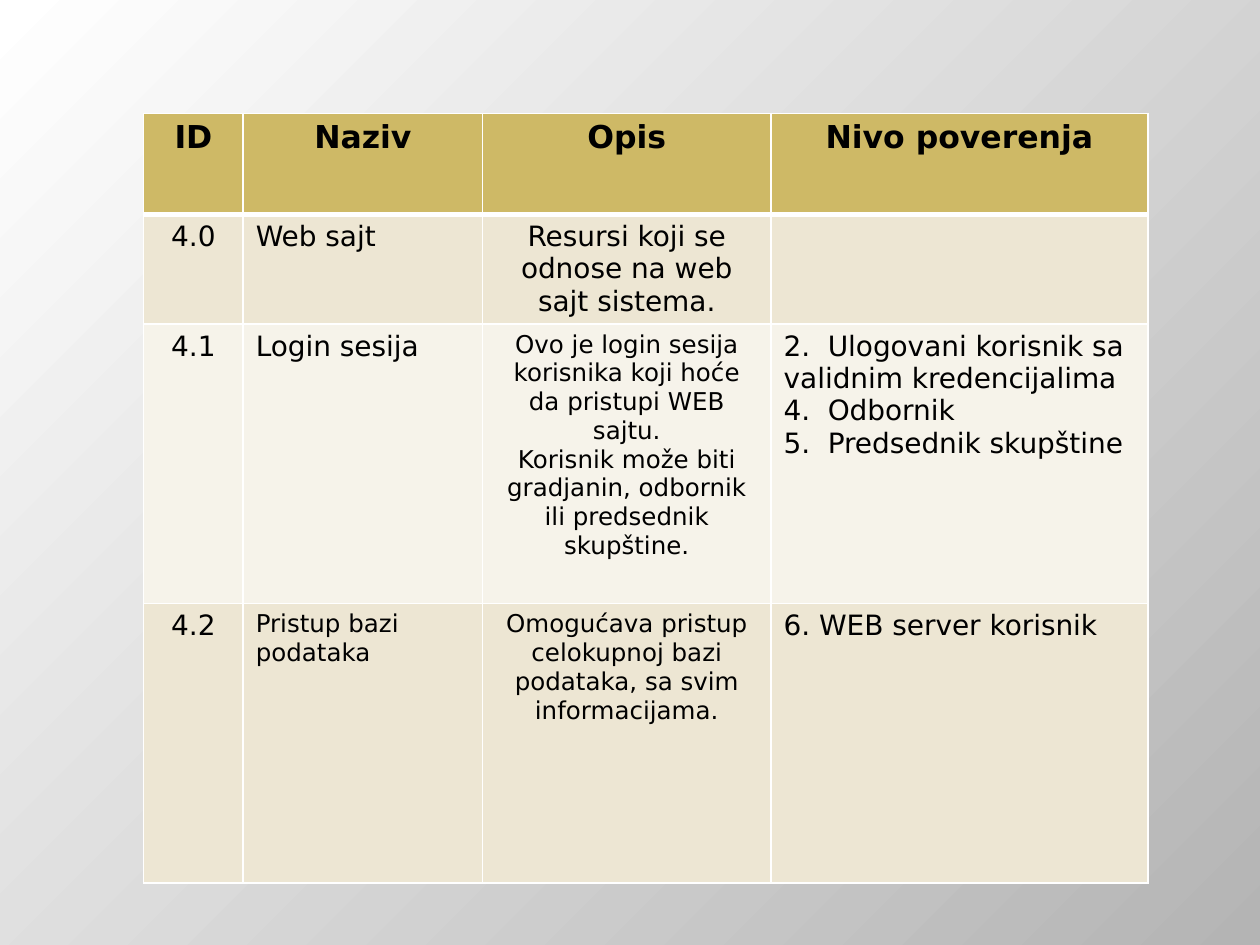
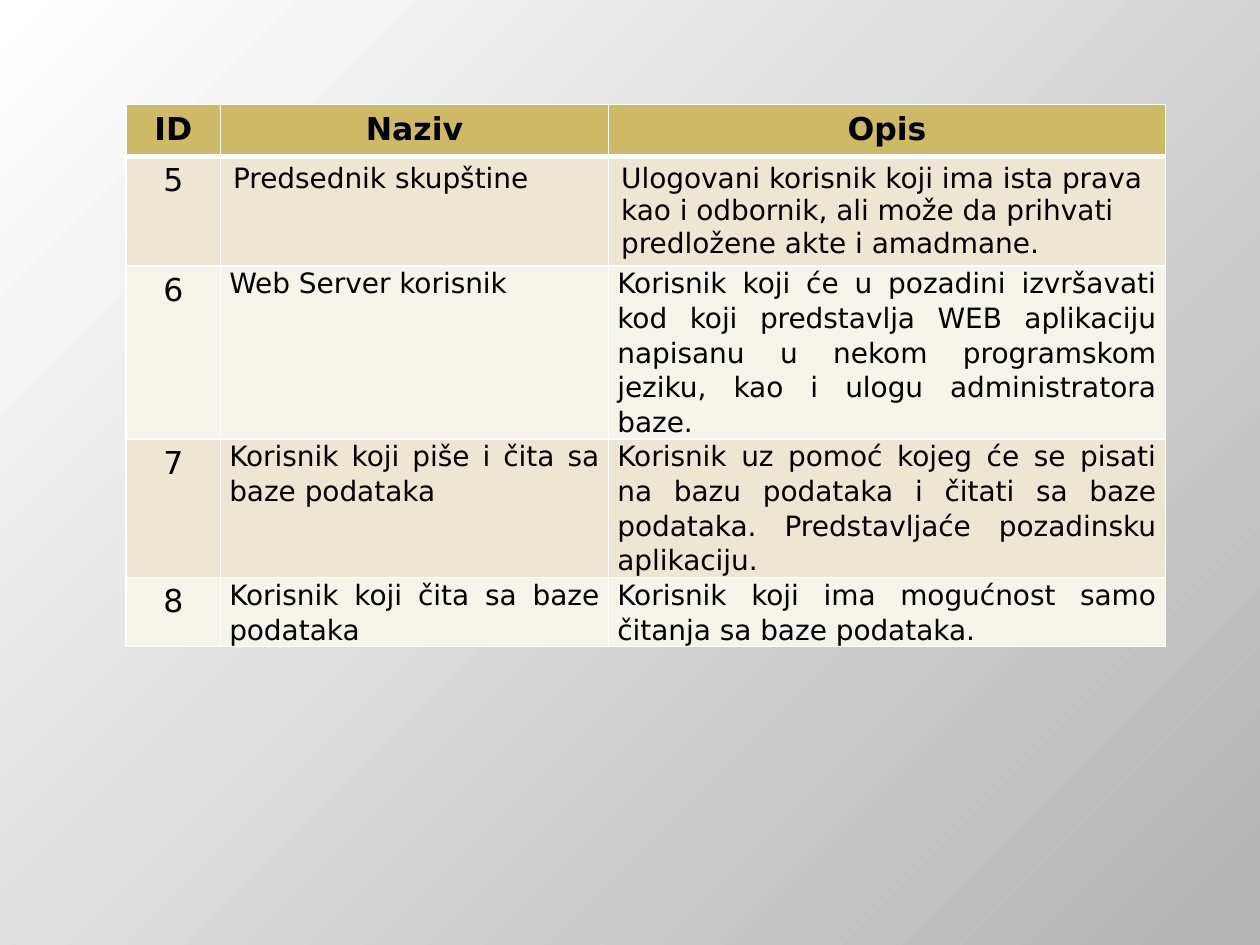
from dataclasses import dataclass

from lxml.etree import SubElement
from pptx import Presentation
from pptx.dml.color import RGBColor
from pptx.enum.text import PP_ALIGN
from pptx.oxml.ns import qn
from pptx.util import Inches, Pt

FONT = "DejaVu Sans"
BLACK, WHITE, GREY = "000000", "FFFFFF", "B4B4B4"
HEADER_FILL = "CEB966"
BAND_FILLS = ("EDE6D3", "F6F3EA")
HEADER_SIZE = 18
NUMBER_TAB = 0.35
THIN, THICK = 1, 3


@dataclass
class Entry:
    text: str
    size: int = 16
    align: PP_ALIGN = PP_ALIGN.LEFT
    bold: bool = False


def centered(text, size=16, bold=False):
    return Entry(text, size, PP_ALIGN.CENTER, bold)


def justified(text):
    return Entry(text, align=PP_ALIGN.JUSTIFY)


def color(value):
    return RGBColor.from_string(value)


def add_slide(presentation):
    """Add a blank slide with the gradient that spreads from the top left corner."""
    slide = presentation.slides.add_slide(presentation.slide_layouts[6])
    fill = slide.background.fill
    fill.gradient()
    for stop, value in zip(fill.gradient_stops, (WHITE, GREY)):
        stop.color.rgb = color(value)
    gradient = slide.element.find(".//" + qn("a:gradFill"))
    gradient.remove(gradient.find(qn("a:lin")))
    spread = SubElement(gradient, qn("a:path"), path="circle")
    SubElement(spread, qn("a:fillToRect"), r="100000", b="100000")
    return slide


def set_borders(cell, top, bottom):
    properties = cell._tc.get_or_add_tcPr()
    widths = {"a:lnL": THIN, "a:lnR": THIN, "a:lnT": top, "a:lnB": bottom}
    for tag, width in widths.items():
        line = SubElement(properties, qn(tag), w=str(Pt(width)))
        solid = SubElement(line, qn("a:solidFill"))
        SubElement(solid, qn("a:srgbClr"), val=WHITE)


def add_number_tab(paragraph):
    tabs = SubElement(paragraph._p.get_or_add_pPr(), qn("a:tabLst"))
    SubElement(tabs, qn("a:tab"), pos=str(Inches(NUMBER_TAB)), algn="l")


def write_entry(cell, entry):
    cell.text_frame.text = entry.text
    is_justified = entry.align == PP_ALIGN.JUSTIFY
    if is_justified:
        cell.margin_left = cell.margin_right = Inches(0.07)
        cell.margin_top = cell.margin_bottom = 0
    for paragraph in cell.text_frame.paragraphs:
        if "\t" in paragraph.text:
            add_number_tab(paragraph)
        paragraph.alignment = entry.align
        if is_justified:
            paragraph.line_spacing = 1.07
        font = paragraph.font
        font.name, font.size, font.bold = FONT, Pt(entry.size), entry.bold
        font.color.rgb = color(BLACK)


def add_banded_table(slide, left, top, widths, heights, headings, body):
    rows = [[centered(heading, HEADER_SIZE, True) for heading in headings], *body]
    table = slide.shapes.add_table(
        len(rows), len(widths), Inches(left), Inches(top),
        Inches(sum(widths)), Inches(sum(heights))).table
    table.first_row = table.horz_banding = False
    for column, width in zip(table.columns, widths):
        column.width = Inches(width)
    for index, (row, height, entries) in enumerate(zip(table.rows, heights, rows)):
        row.height = Inches(height)
        fill = BAND_FILLS[(index - 1) % 2] if index else HEADER_FILL
        for cell, entry in zip(row.cells, entries):
            set_borders(cell, THICK if index == 1 else THIN,
                        THICK if index == 0 else THIN)
            cell.fill.solid()
            cell.fill.fore_color.rgb = color(fill)
            write_entry(cell, entry)


def add_resources_slide(presentation):
    body = [
        [centered("4.0"), Entry("Web sajt"),
         centered("Resursi koji se odnose na web sajt sistema."), Entry("")],
        [centered("4.1"), Entry("Login sesija"),
         centered("Ovo je login sesija korisnika koji hoće da pristupi WEB sajtu.\n"
                  "Korisnik može biti gradjanin, odbornik ili predsednik skupštine.", 14),
         Entry("2.\tUlogovani korisnik sa validnim kredencijalima\n"
               "4.\tOdbornik\n5.\tPredsednik skupštine")],
        [centered("4.2"), Entry("Pristup bazi podataka", 14),
         centered("Omogućava pristup celokupnoj bazi podataka, "
                  "sa svim informacijama.", 14),
         Entry("6. WEB server korisnik")],
    ]
    add_banded_table(add_slide(presentation), 1.14, 0.9,
                     (0.79, 1.9, 2.29, 2.99), (0.8, 0.87, 2.22, 2.22),
                     ("ID", "Naziv", "Opis", "Nivo poverenja"), body)


def add_trust_levels_slide(presentation):
    body = [
        [Entry("Predsednik skupštine"),
         Entry("Ulogovani korisnik koji ima ista prava kao i odbornik, "
               "ali može da prihvati predložene akte i amadmane.")],
        [justified("Web Server korisnik"),
         justified("Korisnik koji će u pozadini izvršavati kod koji predstavlja WEB "
                   "aplikaciju napisanu u nekom programskom jeziku, "
                   "kao i ulogu administratora baze.")],
        [justified("Korisnik koji piše i čita sa baze podataka"),
         justified("Korisnik uz pomoć kojeg će se pisati na bazu podataka i čitati "
                   "sa baze podataka. Predstavljaće pozadinsku aplikaciju.")],
        [justified("Korisnik koji čita sa baze podataka"),
         justified("Korisnik koji ima mogućnost samo čitanja sa baze podataka.")],
    ]
    numbered = [[centered(str(number), HEADER_SIZE), *entries]
                for number, entries in enumerate(body, start=5)]
    add_banded_table(add_slide(presentation), 1, 0.83,
                     (0.75, 3.08, 4.42), (0.41, 0.87, 1.37, 1.1, 0.55),
                     ("ID", "Naziv", "Opis"), numbered)


def main():
    presentation = Presentation()
    presentation.slide_width, presentation.slide_height = Inches(10), Inches(7.5)
    add_resources_slide(presentation)
    add_trust_levels_slide(presentation)
    presentation.save("out.pptx")


if __name__ == "__main__":
    main()
